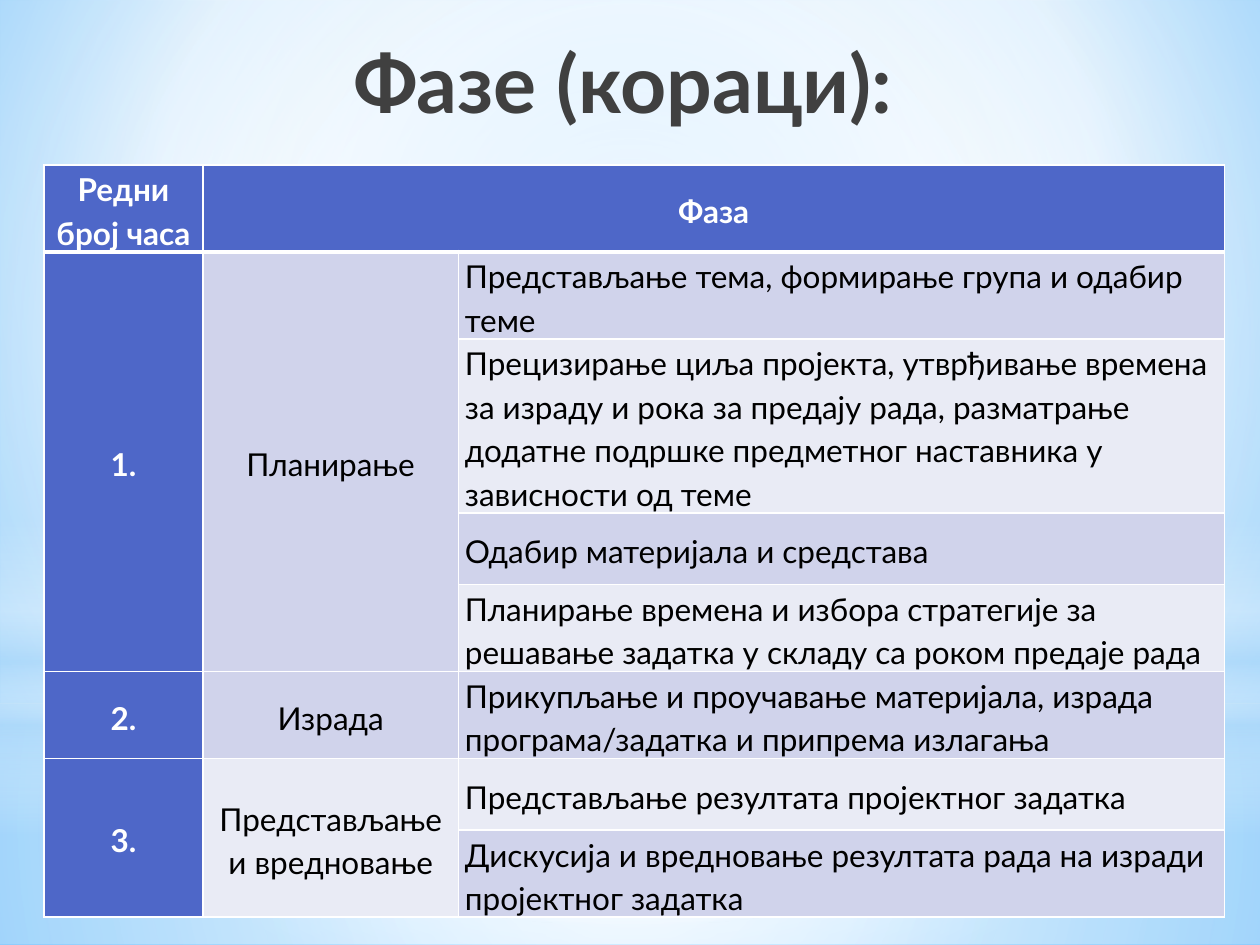
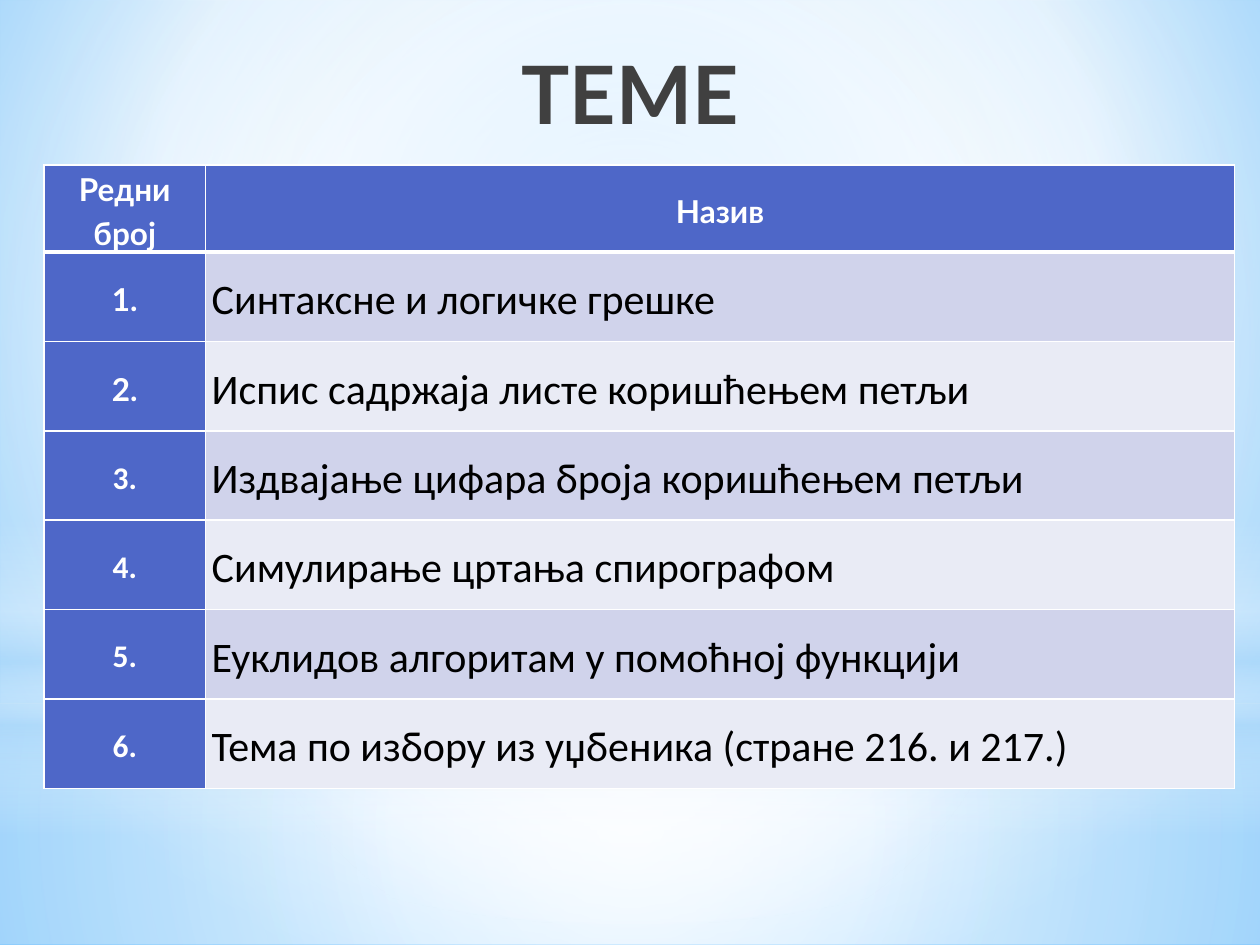
from dataclasses import dataclass

from lxml import etree
from pptx import Presentation
from pptx.dml.color import RGBColor
from pptx.enum.shapes import MSO_SHAPE
from pptx.enum.text import MSO_ANCHOR, PP_ALIGN
from pptx.oxml.ns import qn
from pptx.util import Pt

RECTANGLE, OVAL = MSO_SHAPE.RECTANGLE, MSO_SHAPE.OVAL
TOP, MIDDLE = MSO_ANCHOR.TOP, MSO_ANCHOR.MIDDLE
LEFT, CENTER = PP_ALIGN.LEFT, PP_ALIGN.CENTER


@dataclass(frozen=True)
class Theme:
    white: str = "FFFFFF"
    black: str = "000000"
    title: str = "404040"
    accent: str = "4E67C8"
    band_dark: str = "D0D3EB"
    band_light: str = "E9EBF5"
    sky: str = "B4DCFA"
    sky_inner: str = "9ED5FF"
    sky_outer: str = "5BB9FF"
    main_font: str = "Lato"
    second_font: str = "Calibri"
    title_size: int = 46
    label_size: int = 18
    topic_size: int = 24
    thin_line: int = 1
    header_line: int = 3
    language: str = "sr-Cyrl-RS"


THEME = Theme()
CELL_FORMAT = {"vertical_anchor": MIDDLE, "margin_left": Pt(3.6),
               "margin_right": Pt(3.6), "margin_top": 0, "margin_bottom": 0}
TITLE_FORMAT = {"word_wrap": True, "vertical_anchor": TOP}
TABLE_LEFT, TABLE_TOP = 25.2, 94.3
PAGE_WIDTH, PAGE_HEIGHT = 720, 540

# Sky layers: preset, top, height, stops (position, colour, opacity), angle
SKY_LAYERS = [
    (RECTANGLE, 402, 138, [(0, THEME.white, 91), (37, THEME.white, 76),
                           (100, THEME.sky, 79)], None),
    (RECTANGLE, 0, 402, [(0, THEME.white, 89), (48, THEME.white, 62),
                         (100, THEME.sky, 79)], None),
    (RECTANGLE, 297, 180, [(0, THEME.white, 0), (29, THEME.white, 30),
                           (45, THEME.sky, 40), (55, THEME.white, 26),
                           (65, THEME.sky, 60), (100, THEME.white, 0)], 90),
    (OVAL, 126, 402, [(0, THEME.white, 100), (56, THEME.white, 0)], None),
]

# Lesson number, phase, steps with row heights
PHASES = [
    ("1.", "Планирање", [
        ("Представљање тема, формирање група и одабир теме", 41),
        ("Прецизирање циља пројекта, утврђивање времена за израду и рока "
         "за предају рада, разматрање додатне подршке предметног "
         "наставника у зависности од теме", 85),
        ("Одабир материјала и средстава", 41),
        ("Планирање времена и избора стратегије за решавање задатка у "
         "складу са роком предаје рада", 41.5)]),
    ("2.", "Израда", [
        ("Прикупљање и проучавање материјала, израда програма/задатка и "
         "припрема излагања", 41.5)]),
    ("3.", "Представљање и вредновање", [
        ("Представљање резултата пројектног задатка", 41),
        ("Дискусија и вредновање резултата рада на изради пројектног "
         "задатка", 41.5)]),
]

TOPICS = [
    "Синтаксне и логичке грешке",
    "Испис садржаја листе коришћењем петљи",
    "Издвајање цифара броја коришћењем петљи",
    "Симулирање цртања спирографом",
    "Еуклидов алгоритам у помоћној функцији",
    "Тема по избору из уџбеника (стране 216. и 217.)",
]


def apply_format(target, values):
    for name, value in values.items():
        setattr(target, name, value)


def add_color(parent, color):
    return etree.SubElement(parent, qn("a:srgbClr"), val=color)


def set_gradient(owner, element, stops, angle=None, focus=(50, 50, 50, 50)):
    """Fill the owner with a linear (angle) or circular (focus) gradient."""
    owner.fill.gradient()
    gradient = element.find(".//" + qn("a:gradFill"))
    for child in list(gradient):
        gradient.remove(child)
    stop_list = etree.SubElement(gradient, qn("a:gsLst"))
    for position, color, opacity in stops:
        stop = etree.SubElement(stop_list, qn("a:gs"), pos=str(position * 1000))
        etree.SubElement(add_color(stop, color), qn("a:alpha"),
                         val=str(opacity * 1000))
    if angle is not None:
        etree.SubElement(gradient, qn("a:lin"), ang=str(angle * 60000), scaled="0")
    else:
        circle = etree.SubElement(gradient, qn("a:path"), path="circle")
        sides = {side: str(part * 1000) for side, part in zip("ltrb", focus)}
        etree.SubElement(circle, qn("a:fillToRect"), **sides)


def write_text(frame, text, size, color, bold=False, align=LEFT,
               font=THEME.main_font, spacing=None):
    para = frame.paragraphs[0]
    apply_format(para, {"alignment": align, "line_spacing": spacing})
    span = para.add_run()
    span.text = text
    apply_format(span.font, {"size": Pt(size), "bold": bold, "name": font})
    span.font.color.rgb = RGBColor.from_string(color)
    span.font._element.set("lang", THEME.language)


def add_page(deck):
    """Add a blank page with the sky background."""
    page = deck.slides.add_slide(deck.slide_layouts[6])
    sky = [(0, THEME.sky_inner, 100), (60, THEME.white, 100),
           (100, THEME.sky_outer, 100)]
    set_gradient(page.background, page._element, sky, focus=(20, 10, 20, 60))
    for preset, top, height, stops, angle in SKY_LAYERS:
        layer = page.shapes.add_shape(preset, 0, Pt(top), Pt(PAGE_WIDTH), Pt(height))
        layer.shadow.inherit = False
        layer.line.fill.background()
        set_gradient(layer, layer._element, stops, angle)
    return page


def add_title(page, text, left, top, width, height):
    box = page.shapes.add_textbox(Pt(left), Pt(top), Pt(width), Pt(height))
    apply_format(box.text_frame, TITLE_FORMAT)
    write_text(box.text_frame, text, THEME.title_size, THEME.title, True, CENTER)


def set_borders(cell, row):
    """White borders, with a thick line under the header."""
    thick_side = {0: "lnB", 1: "lnT"}.get(row)
    properties = cell._tc.get_or_add_tcPr()
    for side in ("lnL", "lnR", "lnT", "lnB"):
        width = THEME.header_line if side == thick_side else THEME.thin_line
        line = etree.SubElement(properties, qn("a:" + side), w=str(Pt(width)))
        add_color(etree.SubElement(line, qn("a:solidFill")), THEME.white)


def add_grid(page, widths, heights):
    """Add a banded table with an accent header row and first column."""
    frame = page.shapes.add_table(len(heights), len(widths), Pt(TABLE_LEFT),
                                  Pt(TABLE_TOP), Pt(sum(widths)), Pt(sum(heights)))
    table = frame.table
    apply_format(table, {"first_row": False, "horz_banding": False})
    for column, width in zip(table.columns, widths):
        column.width = Pt(width)
    for index, (row, height) in enumerate(zip(table.rows, heights)):
        row.height = Pt(height)
        band = THEME.band_dark if index % 2 else THEME.band_light
        for column_index, cell in enumerate(row.cells):
            set_borders(cell, index)
            accented = index == 0 or column_index == 0
            cell.fill.solid()
            cell.fill.fore_color.rgb = RGBColor.from_string(
                THEME.accent if accented else band)
            apply_format(cell, CELL_FORMAT)
    return table


def write_label(cell, text, font=THEME.main_font):
    write_text(cell.text_frame, text, THEME.label_size, THEME.white, True,
               CENTER, font, 1.15)


def write_body(cell, text, size=THEME.label_size, align=LEFT, font=THEME.main_font):
    write_text(cell.text_frame, text, size, THEME.black, False, align, font, 1.15)


def build_phases(deck):
    page = add_page(deck)
    add_title(page, "Фазе (кораци):", 99.4, 15.1, 513, 90)
    heights = [41] + [height for _, _, steps in PHASES for _, height in steps]
    table = add_grid(page, [90.7, 146.2, 437.8], heights)
    table.cell(0, 1).merge(table.cell(0, 2))
    write_label(table.cell(0, 0), "Редни број часа")
    write_label(table.cell(0, 1), "Фаза")
    first = 1
    for number, phase, steps in PHASES:
        last = first + len(steps) - 1
        if last > first:
            for column in (0, 1):
                table.cell(first, column).merge(table.cell(last, column))
        write_label(table.cell(first, 0), number)
        write_body(table.cell(first, 1), phase, align=CENTER)
        for row, (step, _) in enumerate(steps, first):
            write_body(table.cell(row, 2), step)
        first = last + 1


def build_topics(deck):
    page = add_page(deck)
    add_title(page, "ТЕМЕ", 36, 21.6, 648, 62.6)
    table = add_grid(page, [92.2, 588.2], [34] + [51.1] * len(TOPICS))
    write_label(table.cell(0, 0), "Редни број")
    write_label(table.cell(0, 1), "Назив")
    for row, topic in enumerate(TOPICS, 1):
        font = THEME.main_font if row <= 2 else THEME.second_font
        write_label(table.cell(row, 0), f"{row}.", font)
        write_body(table.cell(row, 1), topic, THEME.topic_size,
                   font=THEME.second_font)


def main():
    deck = Presentation()
    deck.slide_width, deck.slide_height = Pt(PAGE_WIDTH), Pt(PAGE_HEIGHT)
    build_phases(deck)
    build_topics(deck)
    deck.save("out.pptx")


if __name__ == "__main__":
    main()
